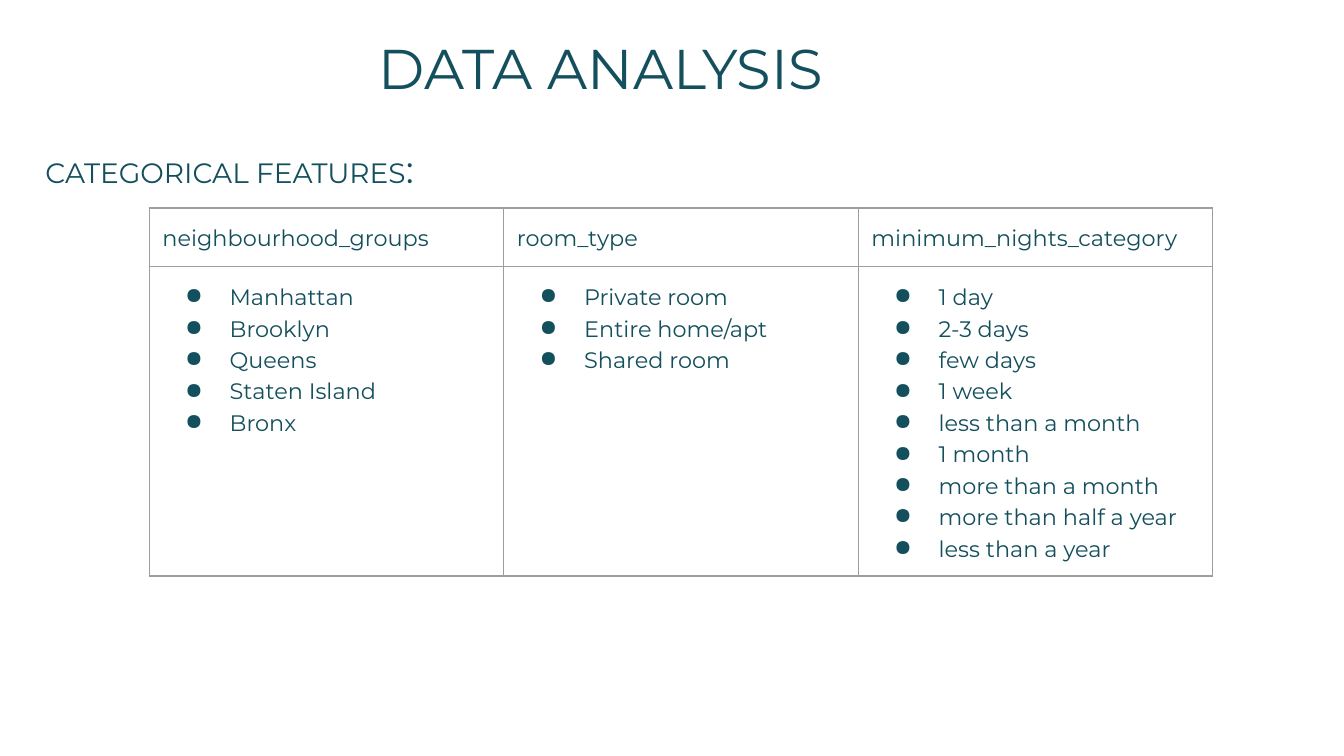
import dataclasses

import lxml.etree
import pptx
import pptx.dml.color
import pptx.oxml.ns
import pptx.util

Cm, Pt = pptx.util.Cm, pptx.util.Pt
qn = pptx.oxml.ns.qn


@dataclasses.dataclass(frozen=True)
class Theme:
    font: str = "Montserrat"
    ink: str = "134F5C"
    rule: str = "9E9E9E"
    title: int = 30
    head: int = 15
    colon: int = 20
    body: int = 12
    lead: float = 1.15


THEME = Theme()
PAD = Cm(0.25)
FEATURES = {
    "neighbourhood_groups": [
        "Manhattan", "Brooklyn", "Queens", "Staten Island", "Bronx"],
    "room_type": ["Private room", "Entire home/apt", "Shared room"],
    "minimum_nights_category": [
        "1 day", "2-3 days", "few days", "1 week", "less than a month",
        "1 month", "more than a month", "more than half a year",
        "less than a year"],
}


def set_font(para, size):
    para.font.name = THEME.font
    para.font.size = Pt(size)
    para.font.color.rgb = pptx.dml.color.RGBColor.from_string(THEME.ink)


def add_node(parent, tag, **attrs):
    return lxml.etree.SubElement(parent, qn(tag), attrs)


def add_color(parent, color):
    add_node(parent, "a:srgbClr", val=color)


def set_bullet(para):
    """Hang the paragraph on a round bullet; call before set_font."""
    props = para._p.get_or_add_pPr()
    props.set("marL", str(Cm(1.27)))
    props.set("indent", str(Cm(-0.84)))
    add_color(add_node(props, "a:buClr"), THEME.ink)
    add_node(props, "a:buChar", char="●")


def set_edges(cell):
    """Rule all four sides; call before the cell's fill is set."""
    props = cell._tc.get_or_add_tcPr()
    for side in ("a:lnL", "a:lnR", "a:lnT", "a:lnB"):
        line = add_node(props, side, w=str(Pt(0.75)))
        add_color(add_node(line, "a:solidFill"), THEME.rule)


def set_pad(box):
    box.margin_left = box.margin_right = PAD
    box.margin_top = box.margin_bottom = PAD


def fill_cell(cell, lines, bullet=False):
    set_pad(cell)
    set_edges(cell)
    cell.fill.background()
    cell.text = "\n".join(lines)
    for para in cell.text_frame.paragraphs:
        para.line_spacing = THEME.lead
        if bullet:
            set_bullet(para)
        set_font(para, THEME.body)


def add_grid(slide):
    width, heights = Cm(6.7), (Cm(1.11), Cm(5.84))
    count = len(FEATURES)
    table = slide.shapes.add_table(
        2, count, Cm(2.82), Cm(3.93), width * count, sum(heights)).table
    table.first_row = table.horz_banding = False
    for row, height in zip(table.rows, heights):
        row.height = height
    for col, (name, values) in enumerate(FEATURES.items()):
        table.columns[col].width = width
        fill_cell(table.cell(0, col), [name])
        fill_cell(table.cell(1, col), values, bullet=True)


def add_heads(slide):
    frame = slide.shapes.add_textbox(
        Cm(0.61), Cm(0.38), Cm(24.54), Cm(3.38)).text_frame
    frame.word_wrap = True
    set_pad(frame)

    title = frame.paragraphs[0]
    title.text = "DATA ANALYSIS"
    title._p.get_or_add_pPr().set("marL", str(Cm(6.3)))
    set_font(title, THEME.title)

    head = frame.add_paragraph()
    head.line_spacing = THEME.lead
    head.space_before = Pt(21)
    set_font(head, THEME.head)
    head.add_run().text = "CATEGORICAL FEATURES"
    colon = head.add_run()
    colon.text = ":"
    colon.font.size = Pt(THEME.colon)


def main():
    deck = pptx.Presentation()
    deck.slide_width, deck.slide_height = Cm(25.4), Cm(14.29)
    slide = deck.slides.add_slide(deck.slide_layouts[6])
    add_grid(slide)
    add_heads(slide)
    deck.save("out.pptx")


if __name__ == "__main__":
    main()
